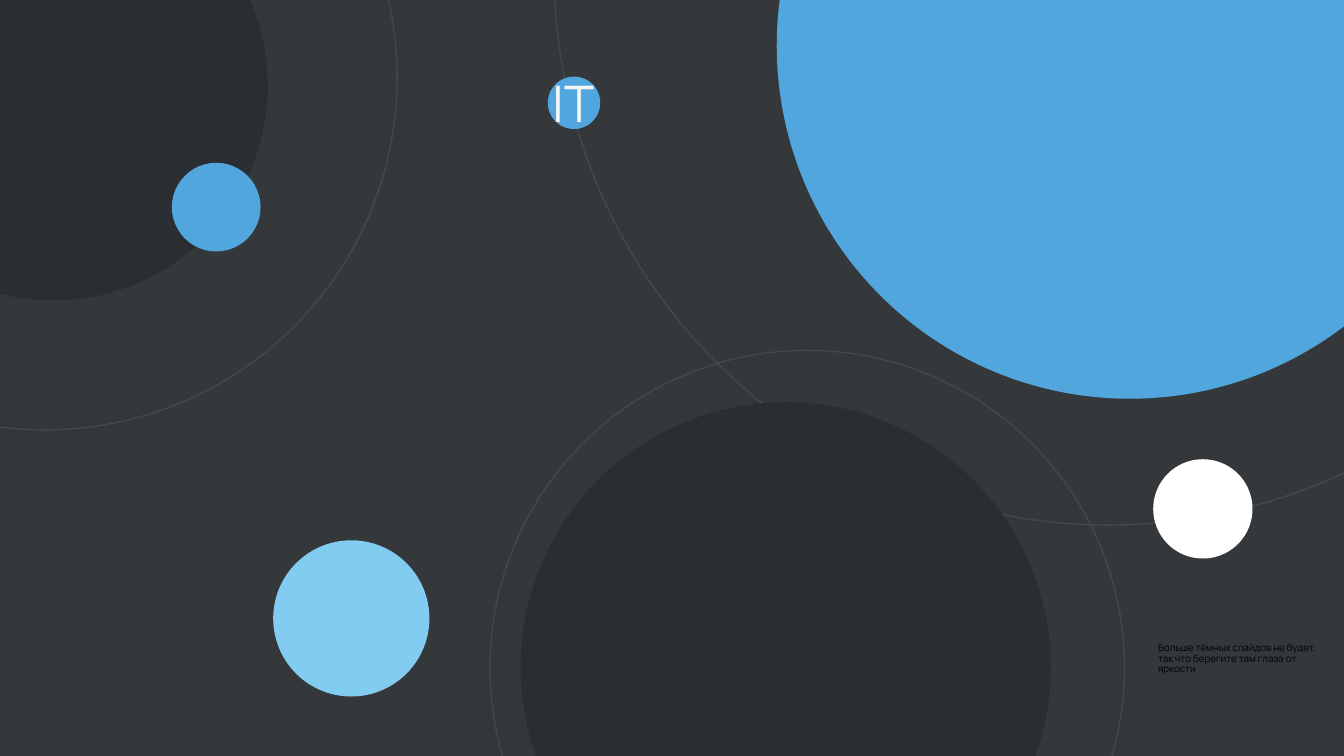
from pptx import Presentation
from pptx.dml.color import RGBColor
from pptx.enum.shapes import MSO_SHAPE
from pptx.enum.text import MSO_ANCHOR, MSO_AUTO_SIZE
from pptx.util import Inches, Pt

OVAL = MSO_SHAPE.OVAL
TOP, MIDDLE = MSO_ANCHOR.TOP, MSO_ANCHOR.MIDDLE
GROW, FIXED = MSO_AUTO_SIZE.SHAPE_TO_FIT_TEXT, MSO_AUTO_SIZE.NONE

SLATE = RGBColor(0x34, 0x38, 0x3B)
EDGE = RGBColor(0x41, 0x48, 0x4E)
DARK = RGBColor(0x2A, 0x2E, 0x33)
BLUE = RGBColor(0x51, 0xA7, 0xDD)
SKY = RGBColor(0x82, 0xCB, 0xF1)
WHITE = RGBColor(0xFF, 0xFF, 0xFF)
PALE = RGBColor(0xF4, 0xF5, 0xF7)
BLACK = RGBColor(0, 0, 0)

WIDTH, HEIGHT = Inches(26.67), Inches(15)
COLS, ROWS = 80, 45
FONT = "Manrope"


def write(frame, text, size, color, spacing=1.0):
    """Put one formatted paragraph into a text frame."""
    para = frame.paragraphs[0]
    para.line_spacing = spacing
    run = para.add_run()
    run.text = text
    run.font.name = FONT
    run.font.size = Pt(size)
    run.font.color.rgb = color


class Canvas:
    """Draws discs, rings and text on a grid of 80 columns by 45 rows."""

    def __init__(self, slide):
        self.slide = slide
        fill = slide.background.fill
        fill.solid()
        fill.fore_color.rgb = SLATE

    def place(self, col, row, wide, high):
        """Turn grid units into slide lengths."""
        return (round(WIDTH * col / COLS), round(HEIGHT * row / ROWS),
                round(WIDTH * wide / COLS), round(HEIGHT * high / ROWS))

    def round(self, col, row, size):
        """Add a circle around a centre."""
        box = self.place(col - size / 2, row - size / 2, size, size)
        shape = self.slide.shapes.add_shape(OVAL, *box)
        shape.shadow.inherit = False
        return shape

    def disc(self, col, row, size, color):
        """Add a filled circle without a line."""
        shape = self.round(col, row, size)
        shape.fill.solid()
        shape.fill.fore_color.rgb = color
        shape.line.fill.background()

    def ring(self, col, row, size):
        """Add a thin outlined circle."""
        shape = self.round(col, row, size)
        shape.fill.background()
        shape.line.color.rgb = EDGE
        shape.line.width = Pt(2)

    def text(self, box, text, inset, anchor=TOP, fit=FIXED, **style):
        """Add a wrapped text box with equal insets."""
        frame = self.slide.shapes.add_textbox(*self.place(*box)).text_frame
        frame.word_wrap = True
        frame.auto_size = fit
        frame.vertical_anchor = anchor
        frame.margin_left = frame.margin_right = Inches(inset)
        frame.margin_top = frame.margin_bottom = Inches(inset)
        write(frame, text, **style)


def main():
    """Build and save the slide."""
    deck = Presentation()
    deck.slide_width, deck.slide_height = WIDTH, HEIGHT
    page = Canvas(deck.slides.add_slide(deck.slide_layouts[6]))

    page.ring(2.67, 4.62, 41.94)
    page.ring(66.02, -1.79, 66.09)
    for disc in (
        (3.17, 5.12, 25.53, DARK),
        (12.87, 12.33, 5.28, BLUE),
        (46.77, 39.72, 31.56, DARK),
        (67.25, 2.72, 42.03, BLUE),
        (20.91, 36.81, 9.3, SKY),
        (71.6, 30.29, 5.91, WHITE),
        (34.17, 6.12, 3.12, BLUE),
    ):
        page.disc(*disc)
    page.ring(48.05, 39.74, 37.77)

    page.text((68.64, 37.98, 10.23, 2.01),
              "Больше тёмных слайдов не будет, так что берегите там глаза от яркости",
              0.1, fit=GROW, size=14, color=BLACK, spacing=0.9)
    page.text((32.79, 4.17, 3.45, 3.9), "IT", 0.04, anchor=MIDDLE,
              size=72, color=PALE)
    deck.save("out.pptx")


if __name__ == "__main__":
    main()
